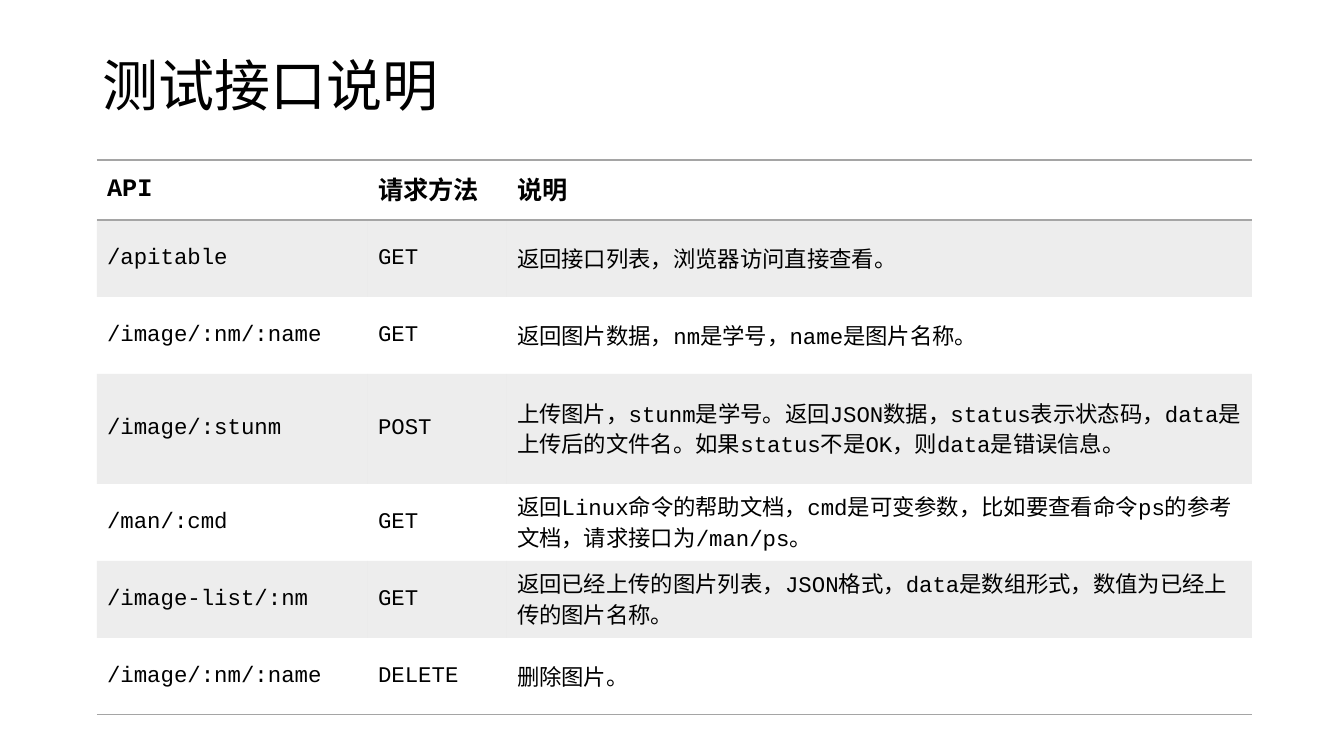
from lxml import etree
from pptx import Presentation
from pptx.dml.color import RGBColor
from pptx.enum.lang import MSO_LANGUAGE_ID
from pptx.enum.text import MSO_ANCHOR
from pptx.oxml.ns import qn
from pptx.util import Pt

MIDDLE = MSO_ANCHOR.MIDDLE
CHINESE = MSO_LANGUAGE_ID.SIMPLIFIED_CHINESE

TITLE = "测试接口说明"
HEADER = ("API", "请求方法", "说明")
ENDPOINTS = [
    ("/apitable", "GET", "返回接口列表，浏览器访问直接查看。"),
    ("/image/:nm/:name", "GET", "返回图片数据，nm是学号，name是图片名称。"),
    ("/image/:stunm", "POST",
     "上传图片，stunm是学号。返回JSON数据，status表示状态码，"
     "data是上传后的文件名。如果status不是OK，则data是错误信息。"),
    ("/man/:cmd", "GET",
     "返回Linux命令的帮助文档，cmd是可变参数，比如要查看命令ps的参考文档，请求接口为/man/ps。"),
    ("/image-list/:nm", "GET",
     "返回已经上传的图片列表，JSON格式，data是数组形式，数值为已经上传的图片名称。"),
    ("/image/:nm/:name", "DELETE", "删除图片。"),
]
COLORS = {"text": "000000", "gray": "A5A5A5"}
CJK_FONT = "Noto Sans Mono"
CODE_FONT = "Courier New"
NO_STYLE = "{2D5ABB26-0587-4C30-8999-92F81FD0307C}"
BAND_ALPHA = 20000

SLIDE_SIZE = (1344, 756)
TITLE_BOX = (93, 40, 1159, 97)
TABLE_ORIGIN = (97, 160)
COLUMN_WIDTHS = (271, 139, 745)
ROW_HEIGHTS = (60, 77, 77, 110, 77, 77, 77)


def px(length):
    return round(length * 9144000 / 1008)


def write_text(frame, text, *, size, font, bold=False, line_spacing=None):
    frame.word_wrap = True
    para = frame.paragraphs[0]
    if line_spacing:
        para.line_spacing = line_spacing
    span = para.add_run()
    span.text = text
    span.font.size = Pt(size)
    span.font.bold = bold
    span.font.name = font
    span.font.language_id = CHINESE
    span.font.color.rgb = RGBColor.from_string(COLORS["text"])
    etree.SubElement(span.font._element, qn("a:ea"), typeface=CJK_FONT)


def add_border(cell, side):
    properties = cell._tc.get_or_add_tcPr()
    line = etree.SubElement(properties, qn(f"a:ln{side}"), w=str(Pt(1)))
    fill = etree.SubElement(line, qn("a:solidFill"))
    etree.SubElement(fill, qn("a:srgbClr"), val=COLORS["gray"])


def fill_cell(cell, banded):
    if not banded:
        cell.fill.background()
        return
    cell.fill.solid()
    cell.fill.fore_color.rgb = RGBColor.from_string(COLORS["gray"])
    color = cell._tc.tcPr.find(qn("a:solidFill")).find(qn("a:srgbClr"))
    etree.SubElement(color, qn("a:alpha"), val=str(BAND_ALPHA))


def add_title(page):
    box = page.shapes.add_textbox(*map(px, TITLE_BOX))
    box.text_frame.vertical_anchor = MIDDLE
    write_text(box.text_frame, TITLE, size=40, font=CJK_FONT, line_spacing=0.9)


def add_endpoint_table(page):
    rows = [HEADER, *ENDPOINTS]
    bounds = (*TABLE_ORIGIN, sum(COLUMN_WIDTHS), sum(ROW_HEIGHTS))
    frame = page.shapes.add_table(len(rows), len(HEADER), *map(px, bounds))
    table = frame.table
    table.horz_banding = False
    table._tbl.tblPr.find(qn("a:tableStyleId")).text = NO_STYLE
    for column, width in zip(table.columns, COLUMN_WIDTHS):
        column.width = px(width)
    for index, (row, height, texts) in enumerate(zip(table.rows, ROW_HEIGHTS, rows)):
        row.height = px(height)
        is_header = index == 0
        for cell, text in zip(row.cells, texts):
            cell.vertical_anchor = MIDDLE
            write_text(cell.text_frame, text, size=18 if is_header else 16,
                       font=CODE_FONT, bold=is_header)
            if is_header:
                add_border(cell, "T")
            if is_header or index == len(rows) - 1:
                add_border(cell, "B")
            fill_cell(cell, banded=index % 2 == 1)


def main():
    deck = Presentation()
    deck.slide_width, deck.slide_height = map(px, SLIDE_SIZE)
    page = deck.slides.add_slide(deck.slide_layouts[6])
    add_title(page)
    add_endpoint_table(page)
    deck.save("out.pptx")


if __name__ == "__main__":
    main()
